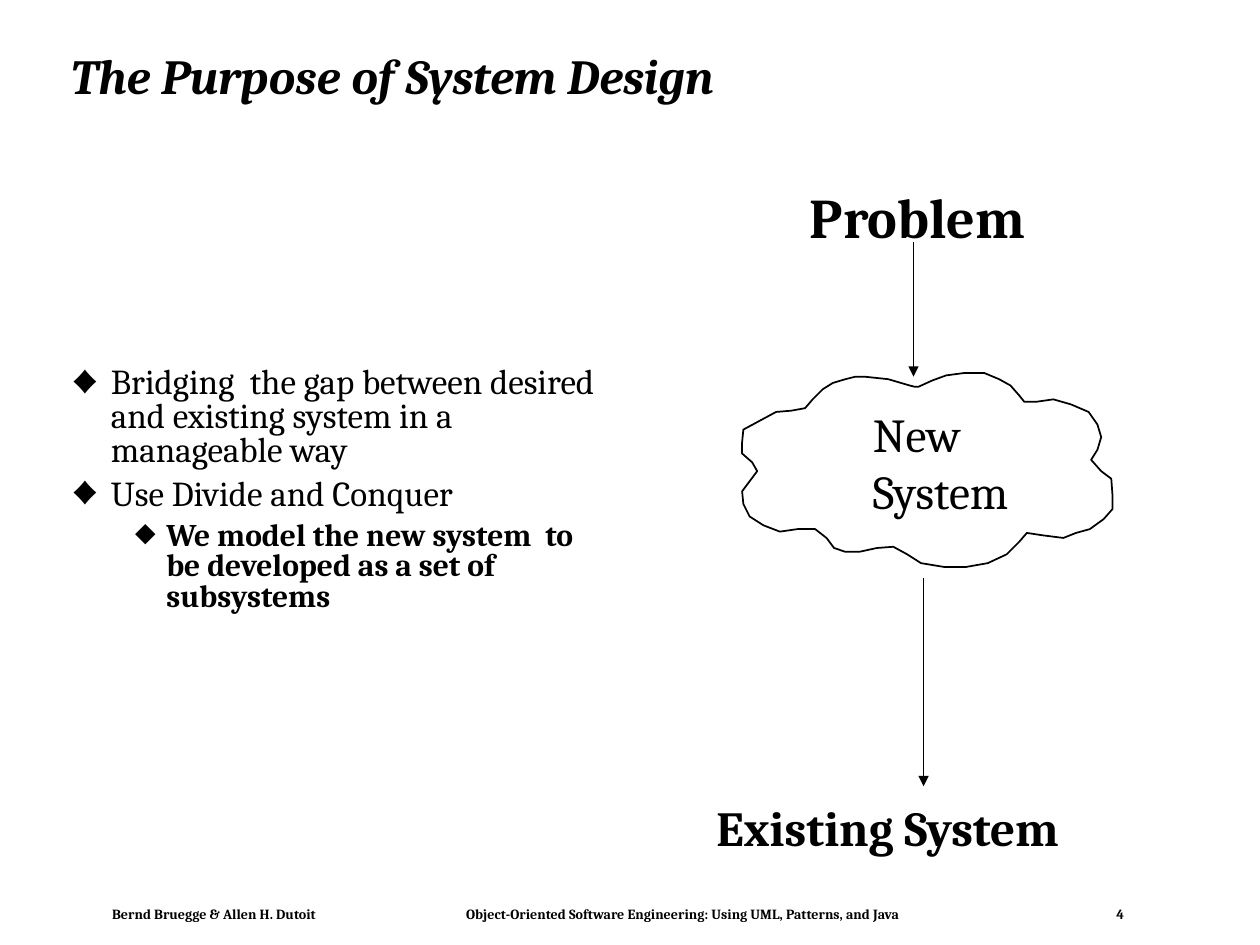
"""Build the slide on the purpose of system design."""
from lxml.etree import SubElement
from pptx import Presentation
from pptx.dml.color import RGBColor
from pptx.enum.shapes import MSO_CONNECTOR
from pptx.enum.text import MSO_ANCHOR, MSO_AUTO_SIZE, PP_ALIGN
from pptx.oxml.ns import qn
from pptx.util import Pt

SCALE = 9144
COLOURS = {"ink": "000000", "paper": "FFFFFF"}
FONT = "Cambria"
CLOUD = [
    (705, 301), (722, 306), (726, 307), (729, 307), (740, 302), (751, 298), (766, 296),
    (781, 296), (793, 301), (802, 306), (809, 314), (813, 319), (822, 319), (836, 317),
    (850, 321), (864, 327), (871, 337), (874, 347), (871, 357), (866, 365), (874, 374),
    (882, 380), (883, 394), (883, 404), (876, 412), (865, 420), (854, 423), (844, 427),
    (828, 425), (815, 423), (809, 430), (799, 440), (784, 447), (767, 450), (749, 450),
    (731, 447), (720, 440), (709, 434), (696, 435), (682, 438), (671, 438), (662, 435),
    (656, 427), (647, 420), (633, 420), (619, 422), (606, 417), (595, 410), (590, 400),
    (589, 390), (595, 382), (601, 374), (597, 367), (589, 360), (589, 351), (590, 341),
    (603, 334), (616, 327), (628, 326), (639, 324), (645, 317), (653, 309), (661, 304),
    (671, 301), (679, 299), (686, 299),
]
BULLETS = [
    ("Bridging  the gap between desired and existing system in a manageable way", 0),
    ("Use Divide and Conquer", 0),
    ("We model the new system  to be developed as a set of subsystems", 1),
]
BULLET_STYLES = [
    {"char": "♦", "percent": 75, "margin": 31, "hang": 31, "size": 20, "bold": False},
    {"char": "⬥", "percent": 100, "margin": 75, "hang": 25, "size": 18, "bold": True},
]
FOOTER = "\t".join([
    "Bernd Bruegge & Allen H. Dutoit",
    "Object-Oriented Software Engineering: Using UML, Patterns, and Java",
    "4",
])


def emu(px):
    """Turn px, at 100 to the inch, into EMU."""
    return px * SCALE


def colour(name):
    """Look up a named colour."""
    return RGBColor.from_string(COLOURS[name])


class SlideBuilder:
    """Hold the style and the current slide."""

    def __init__(self, deck):
        """Add a slide with a title and a body."""
        self.page = deck.slides.add_slide(deck.slide_layouts[1])
        self.page.background.fill.solid()
        self.page.background.fill.fore_color.rgb = colour("paper")

    def span(self, para, text, size, bold=False, italic=False):
        """Add one styled run."""
        span = para.add_run()
        span.text = text
        font = span.font
        font.name, font.size, font.bold, font.italic = FONT, Pt(size), bold, italic
        font.color.rgb = colour("ink")

    def frame(self, box, wrap=True, margins=(10, 5), anchor=MSO_ANCHOR.TOP):
        """Set up the text frame of a box."""
        frame = box.text_frame
        frame.word_wrap = wrap
        frame.auto_size = MSO_AUTO_SIZE.NONE
        frame.vertical_anchor = anchor
        frame.margin_left = frame.margin_right = emu(margins[0])
        frame.margin_top = frame.margin_bottom = emu(margins[1])
        return frame

    def place(self, box, area):
        """Move a placeholder to an area."""
        box.left, box.top, box.width, box.height = map(emu, area)

    def title(self, text, area):
        """Fill the title placeholder."""
        box = self.page.shapes.title
        self.place(box, area)
        para = self.frame(box, anchor=MSO_ANCHOR.MIDDLE).paragraphs[0]
        para.alignment = PP_ALIGN.LEFT
        para.line_spacing = 0.9
        self.span(para, text, 28, bold=True, italic=True)

    def bullets(self, items, area):
        """Fill the body placeholder with a list."""
        box = self.page.placeholders[1]
        self.place(box, area)
        frame = self.frame(box)
        for index, (text, level) in enumerate(items):
            style = BULLET_STYLES[level]
            para = frame.add_paragraph() if index else frame.paragraphs[0]
            self.bullet(para, style)
            para.level = level
            para.line_spacing = 0.8
            para.space_before = Pt(0.3 * style["size"] if index else 0)
            self.span(para, text, style["size"], style["bold"])

    def bullet(self, para, style):
        """Give a paragraph its bullet and indent."""
        properties = para._p.get_or_add_pPr()
        properties.set("marL", str(emu(style["margin"])))
        properties.set("indent", str(-emu(style["hang"])))
        tint = SubElement(properties, qn("a:buClr"))
        SubElement(tint, qn("a:srgbClr"), val=COLOURS["ink"])
        SubElement(properties, qn("a:buSzPct"), val=str(style["percent"] * 1000))
        SubElement(properties, qn("a:buFont"), typeface=FONT)
        SubElement(properties, qn("a:buChar"), char=style["char"])

    def label(self, lines, area, size, bold=False, wrap=False, align=PP_ALIGN.LEFT):
        """Add a text box with one paragraph a line."""
        frame = self.frame(self.page.shapes.add_textbox(*map(emu, area)), wrap)
        for index, text in enumerate(lines):
            para = frame.add_paragraph() if index else frame.paragraphs[0]
            para.alignment = align
            self.span(para, text, size, bold)

    def footer(self, text, area, stops):
        """Add the footer line with its tab stops."""
        box = self.page.shapes.add_textbox(*map(emu, area))
        para = self.frame(box, margins=(0, 4)).paragraphs[0]
        tabs = SubElement(para._p.get_or_add_pPr(), qn("a:tabLst"))
        for stop in stops:
            SubElement(tabs, qn("a:tab"), pos=str(emu(stop)), algn="l")
        self.span(para, text, 8, bold=True)

    def outline(self, points):
        """Draw a closed outline."""
        builder = self.page.shapes.build_freeform(*points[0], scale=SCALE)
        builder.add_line_segments(points[1:], close=True)
        shape = builder.convert_to_shape()
        shape.shadow.inherit = False
        shape.fill.solid()
        shape.fill.fore_color.rgb = colour("paper")
        self.stroke(shape.line)

    def stroke(self, line):
        """Style a line."""
        line.color.rgb = colour("ink")
        line.width = Pt(1)

    def arrow(self, x, top, bottom):
        """Draw an arrow pointing down."""
        ends = map(emu, (x, top, x, bottom))
        arrow = self.page.shapes.add_connector(MSO_CONNECTOR.STRAIGHT, *ends)
        self.stroke(arrow.line)
        SubElement(arrow.line._get_or_add_ln(), qn("a:tailEnd"), type="triangle")
        SubElement(arrow._element.spPr, qn("a:effectLst"))


def main():
    """Build and save the deck."""
    deck = Presentation()
    deck.slide_width, deck.slide_height = emu(1000), emu(750)
    slide = SlideBuilder(deck)
    slide.footer(FOOTER, (89, 715, 816, 21), (281, 797))
    slide.title("The Purpose of System Design", (46, 24, 892, 77))
    slide.bullets(BULLETS, (47, 287, 444, 166))
    slide.label(["Problem"], (633, 140, 194, 63), 32, bold=True)
    slide.label(["Existing System"], (442, 628, 525, 56), 28, bold=True,
                wrap=True, align=PP_ALIGN.CENTER)
    slide.outline(CLOUD)
    slide.label(["New", "System"], (683, 317, 130, 100), 27)
    slide.arrow(725, 192, 299)
    slide.arrow(733, 459, 624)
    deck.save("out.pptx")


if __name__ == "__main__":
    main()
